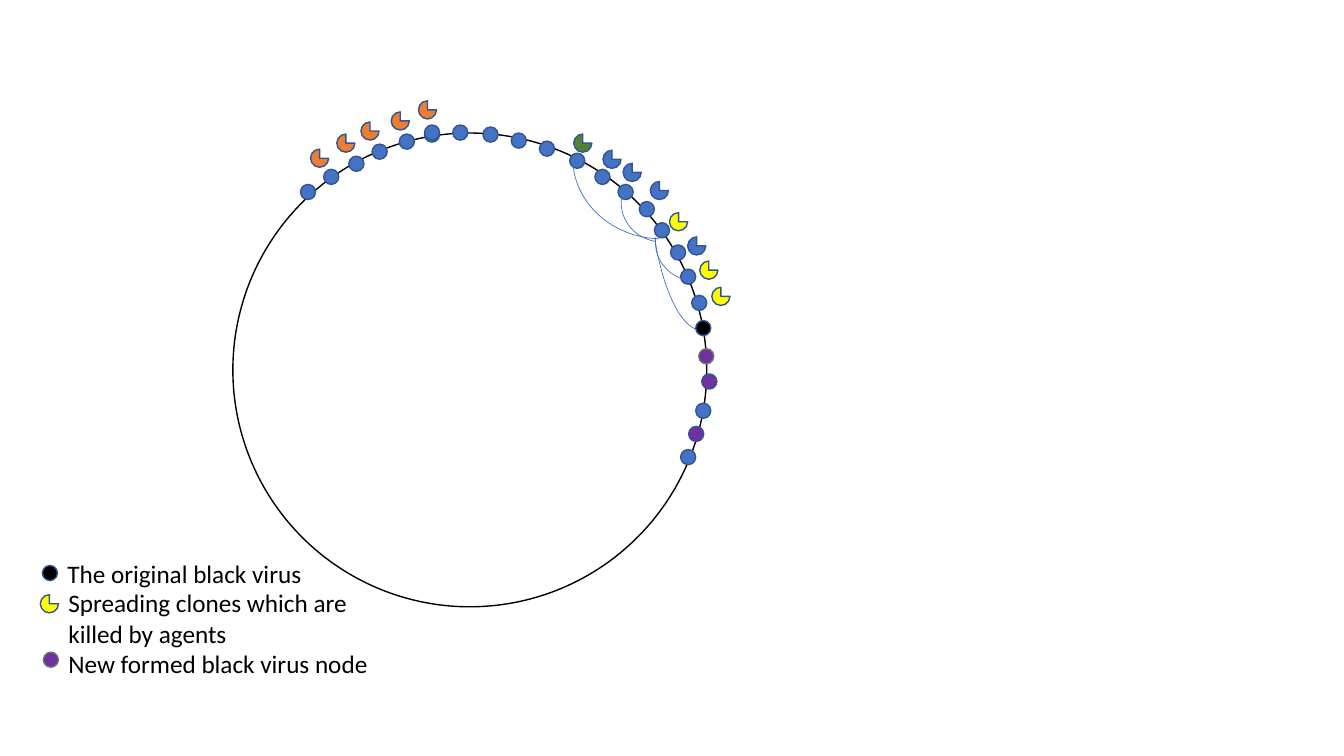
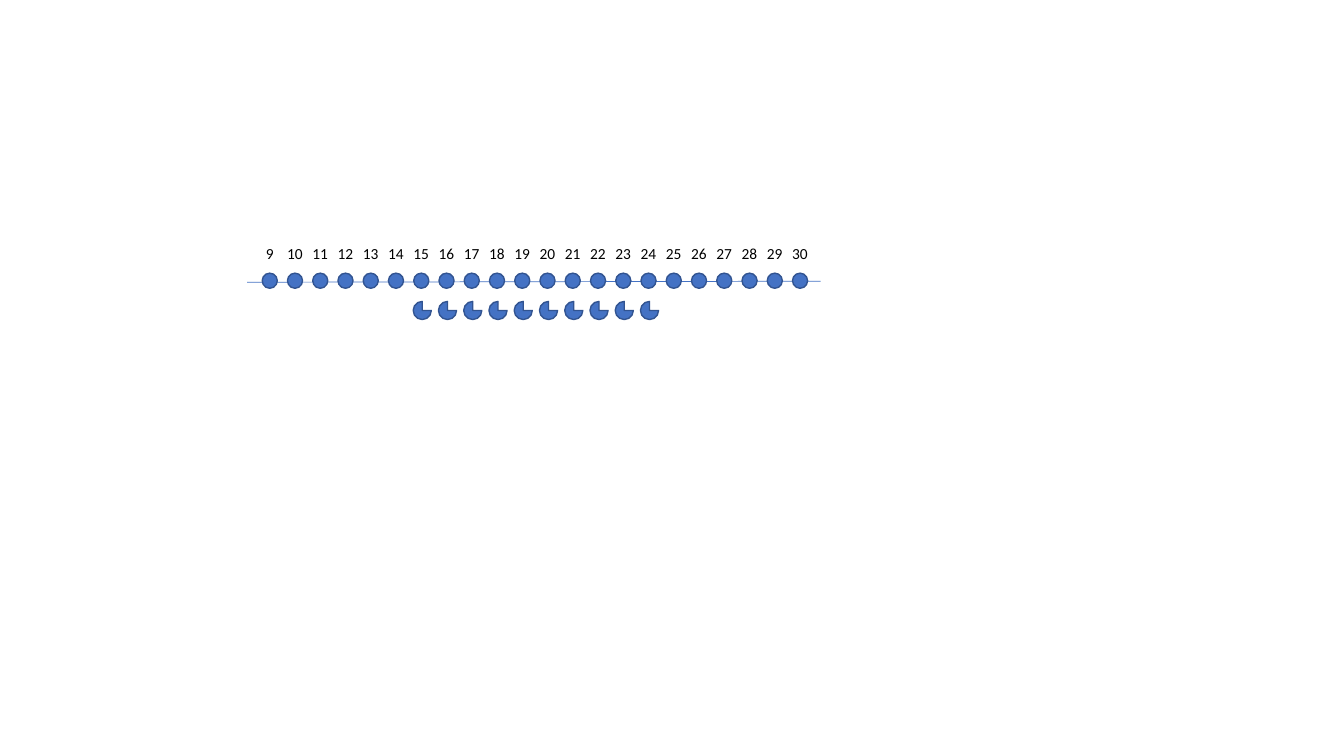
from dataclasses import dataclass
from pptx import Presentation
from pptx import util as u
from pptx.dml.color import RGBColor
from pptx.enum import shapes as es, text as et
from pptx.oxml import ns, xmlchemy as xc

Kind = es.MSO_SHAPE


@dataclass(frozen=True)
class Theme:
    """Colours, type sizes and mark sizes; lengths are grid cells."""
    blue: str = "4472C4"
    edge: str = "325491"
    black: str = "000000"
    white: str = "FFFFFF"
    green: str = "548235"
    yellow: str = "FFFF00"
    orange: str = "ED7D31"
    purple: str = "7030A0"
    grey: str = "767171"
    font: str = "Calibri"
    body: int = 18
    small: int = 11
    node: float = 1.5
    agent: float = 1.8


@dataclass(frozen=True)
class Box:
    """A region measured in cells, 75 of them down the slide."""
    x: float
    y: float
    w: float
    h: float

    def sub(self, x, y, w, h):
        """Return a box placed relative to this one."""
        return Box(self.x + x, self.y + y, w, h)

    def emu(self):
        """Return left, top, width and height as lengths."""
        return [cell(v) for v in (self.x, self.y, self.w, self.h)]


T = Theme()
deck = Presentation()
deck.slide_width, deck.slide_height = u.Inches(13.33), u.Inches(7.5)


def cell(n):
    """Turn grid cells into a length."""
    return u.Emu(round(n * deck.slide_height / 75))


def rgb(code):
    """Turn a hex code into a colour."""
    return RGBColor.from_string(code)


def draw(tree, kind, box, fill=None, edge=T.edge, width=1, turn=0):
    """Add a flat preset shape."""
    shape = tree.add_shape(kind, *box.emu())
    shape.shadow.inherit = False
    if fill:
        shape.fill.solid()
        shape.fill.fore_color.rgb = rgb(fill)
    else:
        shape.fill.background()
    shape.line.color.rgb = rgb(edge)
    shape.line.width = u.Pt(width)
    shape.rotation = turn
    return shape


def node(tree, box, x, y, fill=T.blue, edge=T.edge):
    """Add a round node."""
    draw(tree, Kind.OVAL, box.sub(x, y, T.node, T.node), fill, edge)


def agent(tree, box, x, y, fill=T.blue):
    """Add an agent, a pie with one quarter open."""
    draw(tree, Kind.PIE, box.sub(x, y, T.agent, T.agent), fill)


def write(frame, words, size=T.body, color=T.black, align=None):
    """Put formatted text into a text frame."""
    para = frame.paragraphs[0]
    if align is not None:
        para.alignment = align
    run = para.add_run()
    run.text = words
    run.font.name, run.font.size = T.font, u.Pt(size)
    run.font.color.rgb = rgb(color)


def ring(tree, box):
    """Draw the ring with its nodes, agents and chords."""
    draw(tree, Kind.OVAL, box.sub(0.1, 3.2, 47, 47), T.white, T.black)
    top = [(6.8, 8.3), (9.1, 6.8), (11.6, 5.5), (13.9, 4.3), (16.6, 3.3),
           (19.1, 2.6), (19.1, 2.4), (21.9, 2.4), (24.9, 2.6), (27.7, 3.2),
           (30.5, 4), (33.5, 5.2), (36, 6.8), (38.3, 8.3), (40.4, 10),
           (41.9, 12.1), (43.5, 14.3), (44.5, 16.7)]
    for x, y in top:
        node(tree, box, x, y)
    teams = {
        T.orange: [(7.8, 4.8), (10.4, 3.3), (12.8, 2.1), (15.8, 1.1), (18.5, 0)],
        T.green: [(33.9, 3.3)],
        T.blue: [(36.8, 4.9), (38.8, 6.2), (41.5, 8), (45.2, 13.5)],
        T.yellow: [(43.4, 11.1), (46.4, 15.9), (47.6, 18.5)],
    }
    for fill, spots in teams.items():
        for x, y in spots:
            agent(tree, box, x, y, fill)
    chords = [(42, 10.4, 8, 7.5, 188.9, 159.69), (38.6, 6.5, 8, 7.5, 192.8, 159.69),
              (41.9, 3.5, 6.5, 19.3, 171.6, 163.29),
              (33.8, -2.3, 17.8, 16, 180, 163.29)]
    for x, y, w, h, turn, start in chords:
        arc = draw(tree, Kind.ARC, box.sub(x, y, w, h), None, T.blue, 0.5, turn)
        arc.adjustments[0], arc.adjustments[1] = start, 0
    side = [(45.6, 19.3, T.blue, T.edge), (46, 21.8, T.black, T.edge),
            (46.3, 24.6, T.purple, T.grey), (46.6, 27.1, T.purple, T.edge),
            (46, 30, T.blue, T.edge), (45.3, 32.3, T.purple, T.edge),
            (44.5, 34.6, T.blue, T.edge)]
    for spot in side:
        node(tree, box, *spot)


def legend(tree, box):
    """List the marks with their meanings."""
    node(tree, box, 0.2, 1.2, T.black)
    agent(tree, box, 0, 4.1, T.yellow)
    node(tree, box, 0.3, 9.8, T.purple, T.grey)
    rows = [("The original black virus", 1.7, 0, 26.4, 4),
            ("Spreading clones which are killed by agents", 1.8, 2.9, 34.8, 7.1),
            ("New formed black virus node", 1.8, 8.9, 34.5, 4)]
    for words, *spot in rows:
        frame = tree.add_textbox(*box.sub(*spot).emu()).text_frame
        frame.word_wrap = True
        frame.auto_size = et.MSO_AUTO_SIZE.SHAPE_TO_FIT_TEXT
        write(frame, words)


def labels(tree, box, names):
    """Number the nodes in a plain one-row table."""
    holder = tree.add_table(1, len(names), *box.emu())
    table = holder.table
    table.first_row = table.horz_banding = False
    for style in holder.element.iter(ns.qn("a:tableStyleId")):
        style.text = "{2D5ABB26-0587-4C30-8999-92F81FD0307C}"
    for i, name in enumerate(names):
        table.columns[i].width = cell(box.w / len(names))
        spot = table.cell(0, i)
        spot.fill.background()
        spot.vertical_anchor = et.MSO_ANCHOR.BOTTOM
        spot.margin_left = spot.margin_right = spot.margin_top = cell(0.1)
        spot.margin_bottom = 0
        write(spot.text_frame, str(name), size=T.small, align=et.PP_ALIGN.CENTER)


def chain(tree, box, names, held):
    """Draw a line of nodes, with agents below the held ones."""
    group = tree.add_group_shape().shapes
    ends = [cell(v) for v in (box.x - 1, box.y + 0.9, box.x + box.w + 0.8, box.y + 0.8)]
    line = group.add_connector(es.MSO_CONNECTOR.STRAIGHT, *ends)
    line.line.color.rgb, line.line.width = rgb(T.blue), u.Pt(0.5)
    line.element.spPr.append(xc.OxmlElement("a:effectLst"))
    step = box.w / len(names)
    for i, name in enumerate(names):
        mid = (i + 0.5) * step
        node(group, box, mid - T.node / 2, 0)
        if name in held:
            agent(group, box, mid - T.agent / 2 + 0.1, 2.8)


def page():
    """Add a blank slide and return its shapes."""
    return deck.slides.add_slide(deck.slide_layouts[6]).shapes


first = page()
ring(first, Box(23, 10, 49.4, 50.2))
legend(first, Box(4, 54.9, 36.6, 12.9))

second = page()
names = range(9, 31)
labels(second, Box(25.5, 22.7, 55.1, 3.5), names)
chain(second, Box(25.5, 27.1, 55.1, 4.6), names, range(15, 25))

deck.save("out.pptx")
